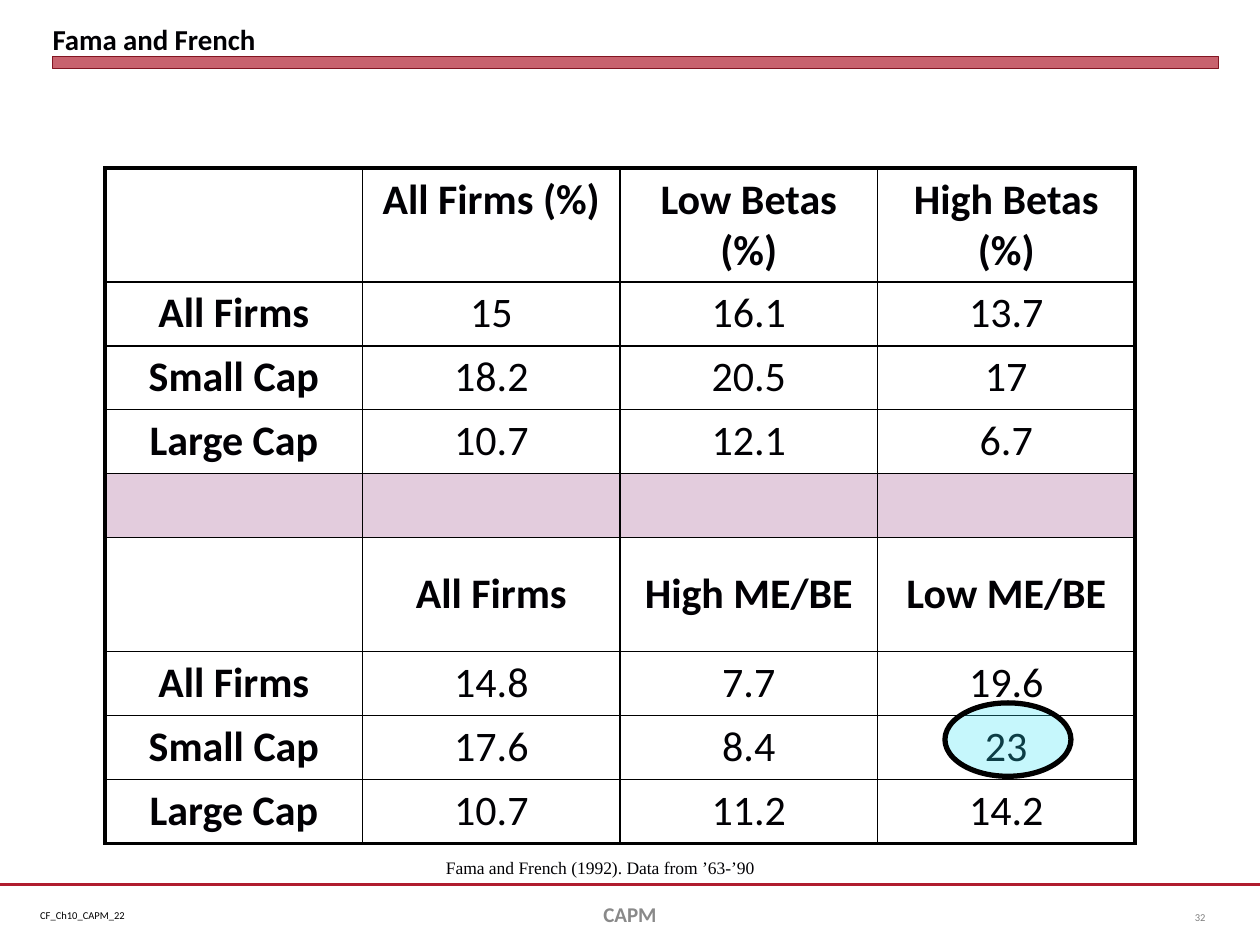
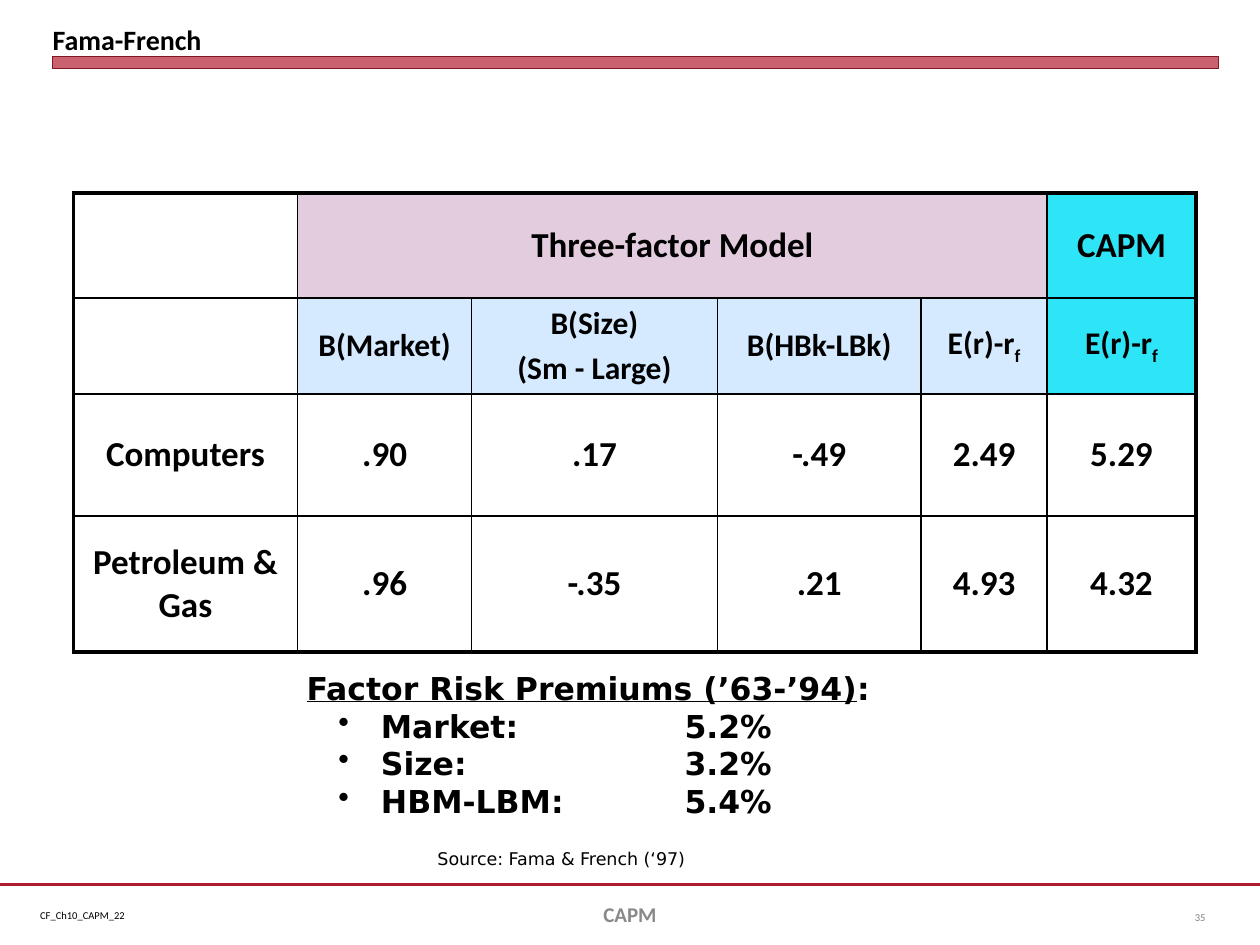
from lxml import etree
from pptx import Presentation
from pptx.dml.color import RGBColor
from pptx.enum.shapes import MSO_CONNECTOR, MSO_SHAPE
from pptx.enum.text import MSO_ANCHOR, PP_ALIGN
from pptx.oxml.ns import qn
from pptx.util import Cm, Pt

BLACK = RGBColor(0, 0, 0)
INK = RGBColor(0x01, 0x00, 0x04)
RED = RGBColor(0xB0, 0x1C, 0x2E)
WINE = RGBColor(0x82, 0x15, 0x22)
GREY = RGBColor(0x89, 0x89, 0x89)
DIM = RGBColor(0x80, 0x80, 0x80)
MAUVE = RGBColor(0xE3, 0xCC, 0xDD)
CYAN = RGBColor(0x2E, 0xE4, 0xF7)
PALE = RGBColor(0xD6, 0xEA, 0xFF)

TOP, MID, BASE = MSO_ANCHOR.TOP, MSO_ANCHOR.MIDDLE, MSO_ANCHOR.BOTTOM
LEFT, CENTER, RIGHT = PP_ALIGN.LEFT, PP_ALIGN.CENTER, PP_ALIGN.RIGHT
RECT, OVAL = MSO_SHAPE.RECTANGLE, MSO_SHAPE.OVAL
LINE = MSO_CONNECTOR.STRAIGHT
SANS, SERIF, WIDE = "Calibri", "Times New Roman", "DejaVu Sans"
THIN, THICK = 1, 2.25

RETURNS = [
    ["", "All Firms (%)", "Low Betas (%)", "High Betas (%)"],
    ["All Firms", "15", "16.1", "13.7"],
    ["Small Cap", "18.2", "20.5", "17"],
    ["Large Cap", "10.7", "12.1", "6.7"],
    ["", "", "", ""],
    ["", "All Firms", "High ME/BE", "Low ME/BE"],
    ["All Firms", "14.8", "7.7", "19.6"],
    ["Small Cap", "17.6", "8.4", "23"],
    ["Large Cap", "10.7", "11.2", "14.2"],
]
HEADS = (0, 5)
GAP = 4

EXCESS = [[("E(r)-r", ""), ("f", "sub")]]
FACTORS = [
    ["", "Three-factor Model", "", "", "", "CAPM"],
    ["", "B(Market)", ["B(Size)", "(Sm - Large)"], "B(HBk-LBk)", EXCESS, EXCESS],
    ["Computers", ".90", ".17", "-.49", "2.49", "5.29"],
    ["Petroleum & Gas", ".96", "-.35", ".21", "4.93", "4.32"],
]
WIDTHS = [4.52, 3.51, 4.95, 4.11, 2.54, 3.0]
HEIGHTS = [2.12, 1.93, 2.46, 2.74]

PREMIUMS = [
    [("Factor Risk Premiums (’63-’94)", "under"), (":", "")],
    "Market:\t5.2%",
    "Size:\t3.2%",
    "HBM-LBM:\t5.4%",
]


def put(frame, text, size=18, font=SANS, color=BLACK, bold=False,
        align=LEFT, anchor=TOP, wrap=True, pad=None, lead=0):
    frame.word_wrap = wrap
    frame.vertical_anchor = anchor
    if pad is not None:
        frame.margin_left = frame.margin_right = Cm(pad)
        frame.margin_top = frame.margin_bottom = Cm(pad)
    for i, part in enumerate([text] if isinstance(text, str) else text):
        para = frame.add_paragraph() if i else frame.paragraphs[0]
        para.alignment = align
        if i and lead:
            para.space_before = Pt(lead)
        for word, mark in [(part, "")] if isinstance(part, str) else part:
            run = para.add_run()
            run.text = word
            face = run.font
            face.size, face.name, face.bold = Pt(size), font, bold
            face.color.rgb = color
            if mark == "under":
                face.underline = True
            if mark == "sub":
                run._r.get_or_add_rPr().set("baseline", "-25000")


def note(slide, at, text, **style):
    box = slide.shapes.add_textbox(*map(Cm, at))
    put(box.text_frame, text, **style)
    return box.text_frame


def tint(slide, kind, at, fill, alpha, line, width):
    shape = slide.shapes.add_shape(kind, *map(Cm, at))
    shape.shadow.inherit = False
    shape.fill.solid()
    shape.fill.fore_color.rgb = fill
    hue = shape.fill._xPr.find(".//" + qn("a:srgbClr"))
    etree.SubElement(hue, qn("a:alpha"), val=str(alpha * 1000))
    shape.line.color.rgb = line
    shape.line.width = Pt(width)


def edge(cell, sides):
    props = cell._tc.get_or_add_tcPr()
    for i, (side, width) in enumerate(sides):
        line = etree.Element(qn("a:ln" + side), w=str(Pt(width)))
        fill = etree.SubElement(line, qn("a:solidFill"))
        etree.SubElement(fill, qn("a:srgbClr"), val=str(BLACK))
        props.insert(i, line)


def grid(slide, x, y, widths, heights, rows, look, spans=()):
    tall, wide = len(heights), len(widths)
    size = map(Cm, (x, y, sum(widths), sum(heights)))
    table = slide.shapes.add_table(tall, wide, *size).table
    table.first_row = table.horz_banding = False
    for col, width in zip(table.columns, widths):
        col.width = Cm(width)
    for row, height in zip(table.rows, heights):
        row.height = Cm(height)
    for r, row in enumerate(rows):
        for c, text in enumerate(row):
            cell = table.cell(r, c)
            fill, anchor, style = look(r, c)
            if text:
                put(cell.text_frame, text, align=CENTER, **style)
            cell.vertical_anchor = anchor
            if fill is None:
                cell.fill.background()
            else:
                cell.fill.solid()
                cell.fill.fore_color.rgb = fill
            ends = (c == 0, c == wide - 1, r == 0, r == tall - 1)
            edge(cell, [(s, THICK if e else THIN) for s, e in zip("LRTB", ends)])
    for start, end in spans:
        table.cell(*start).merge(table.cell(*end))


def dot(para):
    props = para._p.get_or_add_pPr()
    props.set("marL", str(Cm(1.5)))
    props.set("indent", str(Cm(-0.86)))
    etree.SubElement(props, qn("a:buChar"), char="•")
    tabs = etree.SubElement(props, qn("a:tabLst"))
    etree.SubElement(tabs, qn("a:tab"), pos=str(Cm(7.62)), algn="l")


def start(deck, title, size, color, number):
    slide = deck.slides.add_slide(deck.slide_layouts[6])
    rule = slide.shapes.add_connector(LINE, 0, Cm(17.83), Cm(25.4), Cm(17.83))
    rule.line.color.rgb = RED
    rule.line.width = Pt(1.25)
    etree.SubElement(rule._element.spPr, qn("a:effectLst"))
    note(slide, (0.56, 18.19, 2.24, 0.51), "CF_Ch10_CAPM_22", size=6, wrap=False)
    tint(slide, RECT, (1.06, 1.14, 23.5, 0.25), RED, 69, WINE, 0)
    note(slide, (1.06, 0.12, 23.5, 1.02), title, size=size, color=color,
         bold=True, anchor=BASE, pad=0)
    note(slide, (8.68, 17.91, 8.04, 1.02), "CAPM", size=12, color=GREY,
         bold=True, align=CENTER, anchor=MID)
    note(slide, (23.28, 17.98, 1.27, 1.02), number, size=6, color=DIM,
         align=RIGHT, anchor=MID)
    return slide


def firm(r, c):
    style = dict(size=24, color=INK, bold=c == 0 or r in HEADS)
    return MAUVE if r == GAP else None, MID if r == 5 else TOP, style


def factor(r, c):
    fill = None
    if r < 2 and c:
        fill = CYAN if c == 5 else (MAUVE, PALE)[r]
    return fill, MID, dict(size=18 if r == 1 else 20, bold=True, lead=4)


def main():
    deck = Presentation()
    deck.slide_width, deck.slide_height = Cm(25.4), Cm(19.05)

    slide = start(deck, "Fama and French", 16.5, INK, "32")
    tall = [2.29 if r in HEADS else 1.29 for r in range(len(RETURNS))]
    grid(slide, 2.12, 3.39, [5.19] * 4, tall, RETURNS, firm)
    note(slide, (8.74, 17.15, 6.93, 0.69),
         "Fama and French (1992). Data from ’63-’90",
         size=10, font=SERIF, color=INK, wrap=False)
    tint(slide, OVAL, (19.05, 14.17, 2.54, 1.48), CYAN, 27, BLACK, 3)

    slide = start(deck, "Fama-French", 16, BLACK, "35")
    grid(slide, 1.48, 3.89, WIDTHS, HEIGHTS, FACTORS, factor,
         [((0, 1), (0, 4))])
    frame = note(slide, (5.93, 13.36, 13.97, 4.06), PREMIUMS, font=WIDE, bold=True)
    for para in frame.paragraphs[1:]:
        dot(para)
    note(slide, (8.57, 16.97, 5.82, 0.69), "Source: Fama & French (‘97)",
         size=10, font=WIDE, wrap=False)

    deck.save("out.pptx")


if __name__ == "__main__":
    main()
